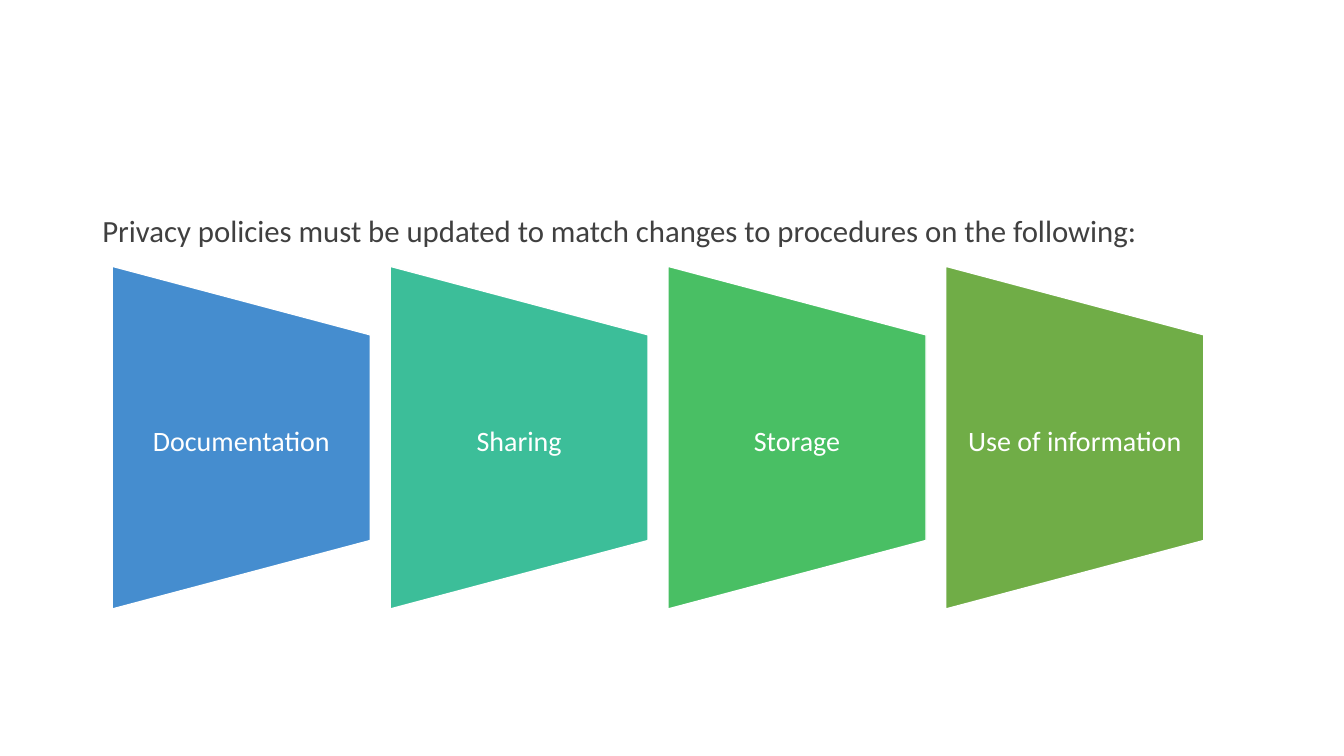
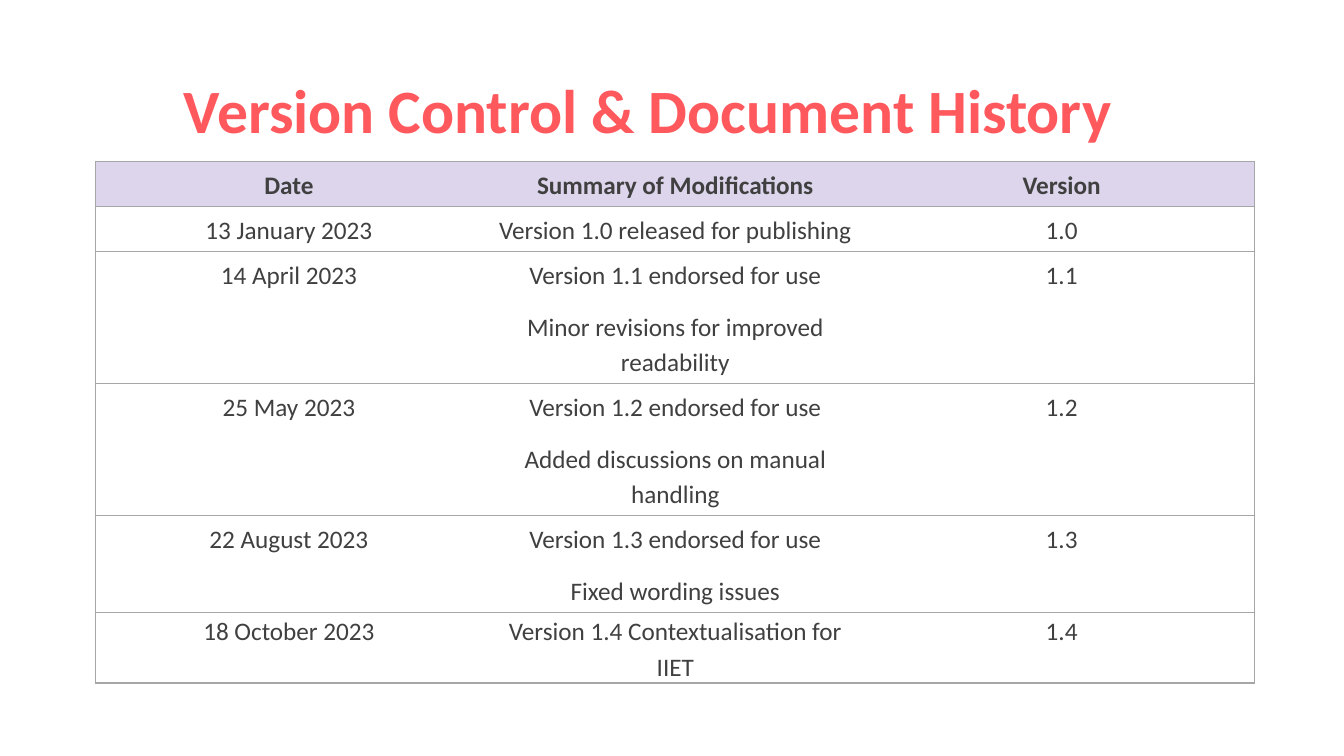
from lxml.etree import SubElement
from pptx import Presentation
from pptx.dml.color import RGBColor
from pptx.enum.shapes import MSO_SHAPE as Shape
from pptx.enum.text import MSO_ANCHOR as Anchor, PP_ALIGN as Align
from pptx.oxml.ns import qn
from pptx.util import Pt

FONT = "Calibri"
WHITE = RGBColor(0xFF, 0xFF, 0xFF)
INK = RGBColor(0x40, 0x40, 0x40)
CORAL = RGBColor(0xFF, 0x59, 0x5E)
LILAC = RGBColor(0xDD, 0xD5, 0xEB)
RULE = RGBColor(0xA6, 0xA6, 0xA6)
BLUE = RGBColor(0x45, 0x8D, 0xCF)
TEAL = RGBColor(0x3C, 0xBE, 0x99)
GREEN = RGBColor(0x49, 0xBF, 0x64)
OLIVE = RGBColor(0x70, 0xAD, 0x47)

CONTENT_LEFT, CONTENT_WIDTH = 66, 794

PROCEDURES = [
    ("Documentation", BLUE),
    ("Sharing", TEAL),
    ("Storage", GREEN),
    ("Use of information", OLIVE),
]

HEADINGS = ("Date", "Summary of Modifications", "Version")
HISTORY = [
    ("13 January 2023", ["Version 1.0 released for publishing"], "1.0"),
    ("14 April 2023", ["Version 1.1 endorsed for use",
                       "Minor revisions for improved readability"], "1.1"),
    ("25 May 2023", ["Version 1.2 endorsed for use",
                     "Added discussions on manual handling"], "1.2"),
    ("22 August 2023", ["Version 1.3 endorsed for use",
                        "Fixed wording issues"], "1.3"),
    ("18 October 2023", ["Version 1.4 Contextualisation for IIET"], "1.4"),
]
ROW_HEIGHTS = (32.2, 32.2, 94.3, 94.3, 69.3, 50.5)


def write(frame, lines, size, color, bold=False, align=Align.CENTER, spacing=1.14):
    for index, line in enumerate(lines):
        paragraph = frame.paragraphs[0] if index == 0 else frame.add_paragraph()
        paragraph.alignment = align
        paragraph.line_spacing = spacing
        paragraph.space_before = Pt(6 if index else 0)
        paragraph.space_after = Pt(6)
        run = paragraph.add_run()
        run.text = line
        run.font.name = FONT
        run.font.size = Pt(size)
        run.font.bold = bold
        run.font.color.rgb = color


def add_text(slide, box, text, size, color, anchor=Anchor.TOP, insets=(7.2, 3.6), **style):
    frame = slide.shapes.add_textbox(*map(Pt, box)).text_frame
    frame.word_wrap = True
    frame.vertical_anchor = anchor
    frame.margin_left = frame.margin_right = Pt(insets[0])
    frame.margin_top = frame.margin_bottom = Pt(insets[1])
    write(frame, [text], size, color, **style)


def add_title(slide, text):
    add_text(slide, (CONTENT_LEFT, 28.8, CONTENT_WIDTH, 104.4), text, 44, CORAL,
             anchor=Anchor.MIDDLE, bold=True, spacing=0.9)


def add_procedure(slide, box, label, color):
    left, top, width, height = box
    turned = (left + (width - height) / 2, top + (height - width) / 2, height, width)
    panel = slide.shapes.add_shape(Shape.FLOWCHART_MANUAL_OPERATION, *map(Pt, turned))
    panel.rotation = 270
    panel.shadow.inherit = False
    panel.fill.solid()
    panel.fill.fore_color.rgb = color
    panel.line.color.rgb = WHITE
    panel.line.width = Pt(1)
    add_text(slide, (left, top + height / 5, width, height * 3 / 5), label, 20, WHITE,
             anchor=Anchor.MIDDLE, insets=(10, 0))


def add_procedures(slide, box, procedures, gap):
    left, top, width, height = box
    panel_width = (width - gap * (len(procedures) - 1)) / len(procedures)
    for index, (label, color) in enumerate(procedures):
        panel_left = left + index * (panel_width + gap)
        add_procedure(slide, (panel_left, top, panel_width, height), label, color)


def set_borders(cell, visible):
    properties = cell._tc.get_or_add_tcPr()
    for side in "LRTB":
        border = SubElement(properties, qn(f"a:ln{side}"), w=str(Pt(1)))
        if side in visible:
            fill = SubElement(border, qn("a:solidFill"))
            SubElement(fill, qn("a:srgbClr"), val=str(RULE))
        else:
            SubElement(border, qn("a:noFill"))


def add_history(slide, box, headings, history):
    rows = [(headings[0], [headings[1]], headings[2])] + history
    last_row, last_column = len(rows) - 1, len(headings) - 1
    table = slide.shapes.add_table(len(rows), len(headings), *map(Pt, box)).table
    table.horz_banding = False
    for column in table.columns:
        column.width = Pt(box[2] / len(headings))
    for r, (date, changes, version) in enumerate(rows):
        table.rows[r].height = Pt(ROW_HEIGHTS[r])
        for c, lines in enumerate(([date], changes, [version])):
            cell = table.cell(r, c)
            set_borders(cell, "TB" + "L" * (c == 0) + "R" * (c == last_column))
            if r == 0:
                cell.fill.solid()
                cell.fill.fore_color.rgb = LILAC
            else:
                cell.fill.background()
            if r == last_row:
                cell.margin_left = cell.margin_right = Pt(5)
                cell.margin_top = cell.margin_bottom = Pt(0)
            write(cell.text_frame, lines, 18, INK, bold=r == 0,
                  spacing=1.15 if r == last_row else 1.14)


def build_policies(slide):
    add_text(slide, (CONTENT_LEFT, 144, CONTENT_WIDTH, 342.7),
             "Privacy policies must be updated to match changes to procedures on the following:",
             22, INK, align=Align.LEFT)
    add_procedures(slide, (80.2, 190.2, 779.7, 244.8), PROCEDURES, 14.1)


def build_history(slide):
    add_title(slide, "Version Control & Document History")
    add_history(slide, (68.4, 115.2, 828, sum(ROW_HEIGHTS)), HEADINGS, HISTORY)


def main():
    deck = Presentation()
    deck.slide_width, deck.slide_height = Pt(960), Pt(540)
    for build in (build_policies, build_history):
        build(deck.slides.add_slide(deck.slide_layouts[6]))
    deck.save("out.pptx")


if __name__ == "__main__":
    main()
